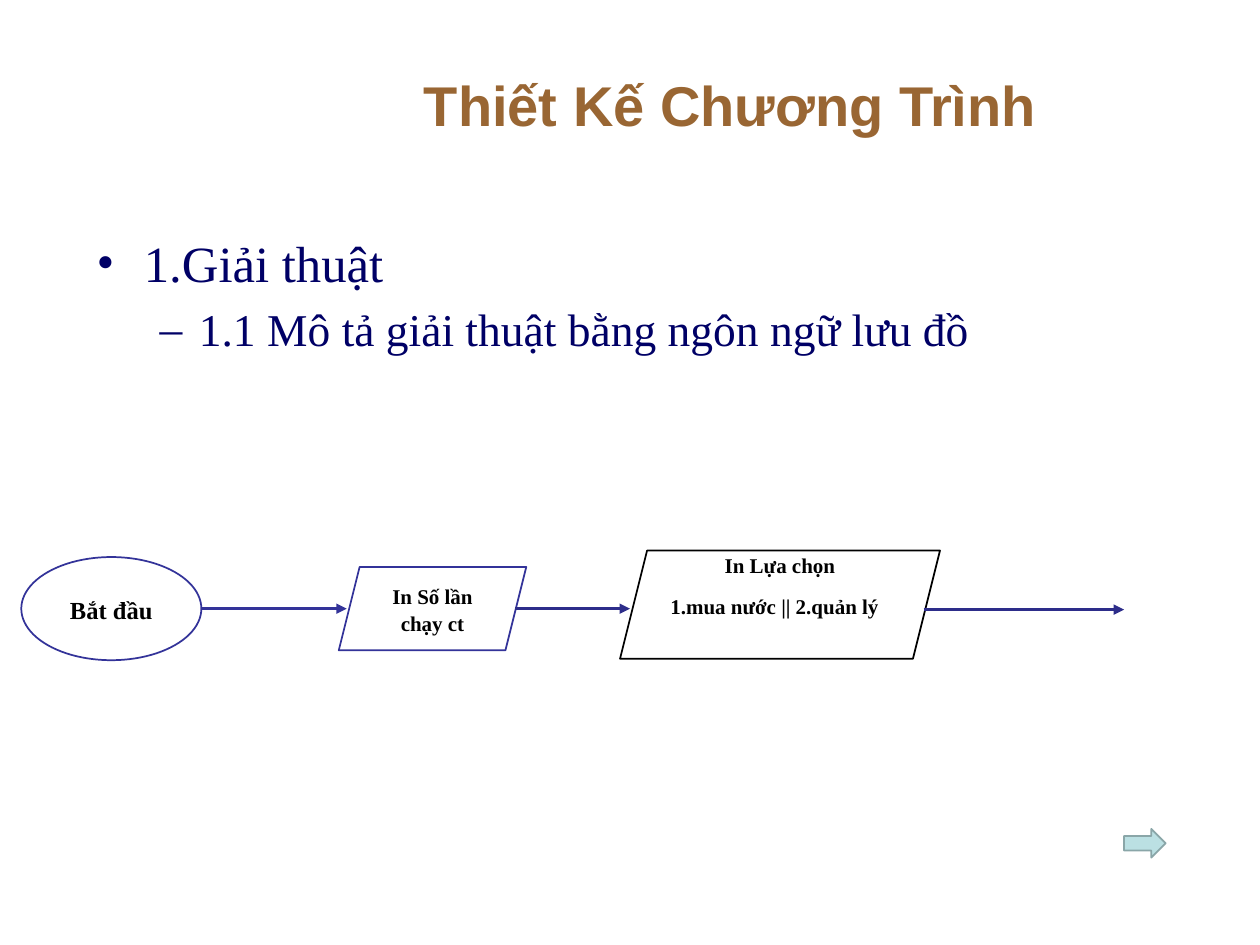
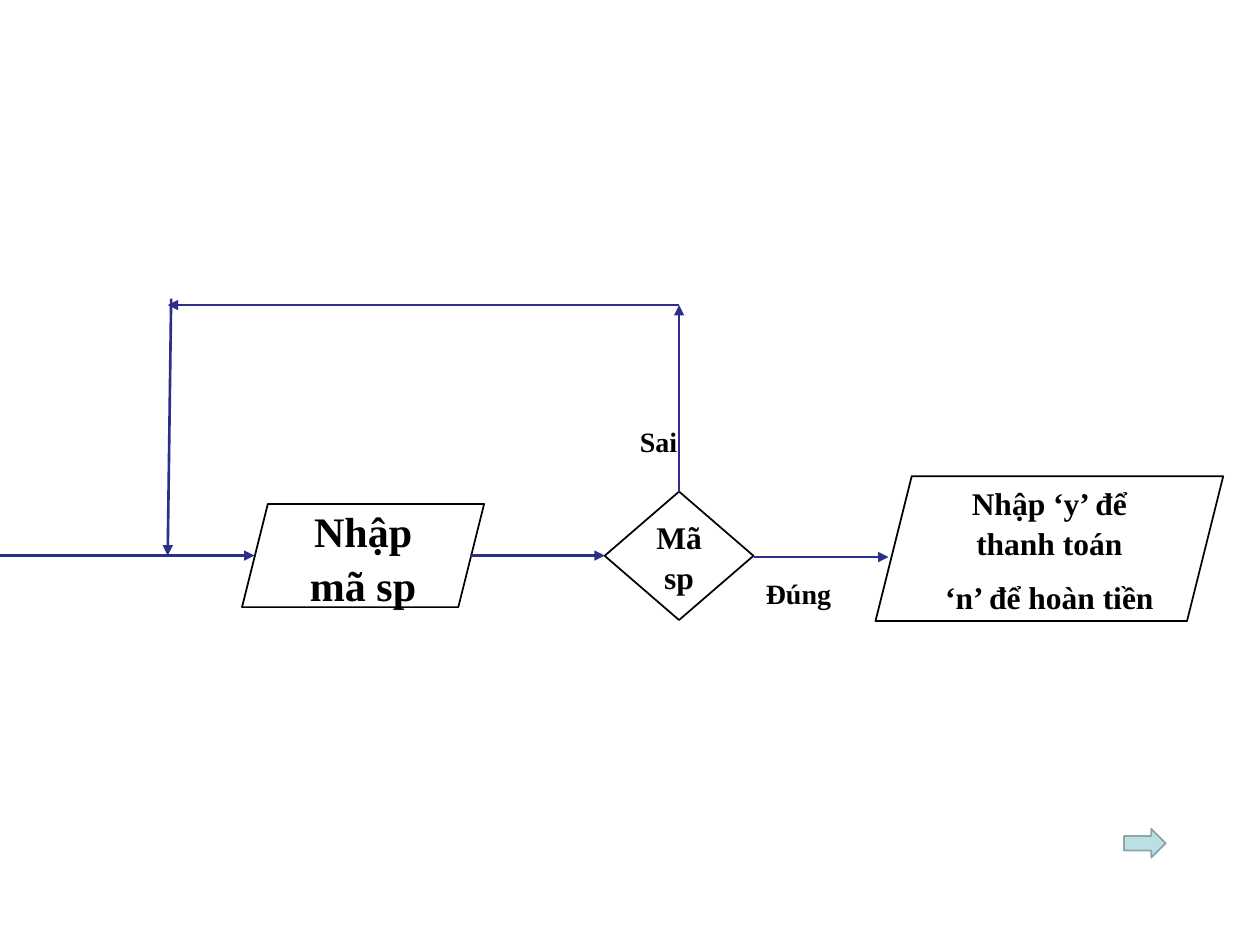
import pptx
import pptx.dml.color
import pptx.enum.shapes
import pptx.enum.text
import pptx.oxml.ns
import pptx.util
from lxml import etree

Cm = pptx.util.Cm
Pt = pptx.util.Pt
SHAPE = pptx.enum.shapes.MSO_SHAPE
ALIGN = pptx.enum.text.PP_ALIGN
ANCHOR = pptx.enum.text.MSO_ANCHOR

COLORS = {
    "title": "996633",
    "body": "000066",
    "text": "000000",
    "paper": "FFFFFF",
    "outline": "333399",
    "flow": "2D2D8A",
    "next_fill": "BBE0E3",
    "next_line": "8AA6A8",
}
TITLE_FONT = "Arial"
BODY_FONT = "Times New Roman"
TITLE_ONLY, BLANK = 5, 6


def rgb(name):
    return pptx.dml.color.RGBColor.from_string(COLORS[name])


def add_xml(parent, tag, **attributes):
    return etree.SubElement(parent, pptx.oxml.ns.qn(tag), attributes)


class FlowDeck:
    def __init__(self):
        self.presentation = pptx.Presentation()
        self.presentation.slide_width = Cm(25.4)
        self.presentation.slide_height = Cm(19.05)
        self.slide = None

    def start_slide(self, title=None):
        layout = self.presentation.slide_layouts[TITLE_ONLY if title else BLANK]
        self.slide = self.presentation.slides.add_slide(layout)
        self.shape(SHAPE.RIGHT_ARROW, (22.66, 16.71, 0.84, 0.58), "next_line", "next_fill")
        if title:
            self.title(title)

    def title(self, text):
        shape = self.slide.shapes.title
        shape.left, shape.top, shape.width, shape.height = map(Cm, (4.88, 0.79, 19.69, 2.62))
        shape.text_frame.text = text
        shape.text_frame.vertical_anchor = ANCHOR.MIDDLE
        paragraph = shape.text_frame.paragraphs[0]
        paragraph.alignment = ALIGN.CENTER
        self.format_runs(paragraph, 32, "title", True, TITLE_FONT)

    def format_runs(self, paragraph, size, color="text", bold=True, font=BODY_FONT):
        for run in paragraph.runs:
            run.font.name = font
            run.font.size = Pt(size)
            run.font.bold = bold
            run.font.color.rgb = rgb(color)

    def flow_text(self, frame, text, size, alignments):
        """Fill a frame, one paragraph per line and alignment."""
        frame.word_wrap = True
        frame.text = text
        for paragraph, alignment in zip(frame.paragraphs, alignments):
            paragraph.alignment = alignment
            paragraph.line_spacing = 1.07
            paragraph.space_after = Pt(8)
            self.format_runs(paragraph, size)

    def shape(self, kind, box, line="text", fill="paper"):
        shape = self.slide.shapes.add_shape(kind, *map(Cm, box))
        shape.shadow.inherit = False
        shape.fill.solid()
        shape.fill.fore_color.rgb = rgb(fill)
        shape.line.color.rgb = rgb(line)
        shape.line.width = Pt(1)
        return shape

    def step(self, kind, box, text, size, line="text", alignments=(ALIGN.CENTER,) * 2):
        """Add one flowchart symbol with its text."""
        frame = self.shape(kind, box, line).text_frame
        frame.vertical_anchor = ANCHOR.MIDDLE
        self.flow_text(frame, text, size, alignments)
        return frame

    def label(self, box, text):
        text_box = self.slide.shapes.add_textbox(*map(Cm, box))
        self.flow_text(text_box.text_frame, text, 16, [ALIGN.LEFT])

    def arrow(self, start, end, color="flow"):
        connector = self.slide.shapes.add_connector(
            pptx.enum.shapes.MSO_CONNECTOR.STRAIGHT, *map(Cm, start + end))
        connector.line.color.rgb = rgb(color)
        connector.line.width = Pt(1.5)
        add_xml(connector.line._get_or_add_ln(), "a:tailEnd", type="triangle")
        add_xml(connector._element.spPr, "a:effectLst")

    def outline(self, box, items):
        """Add a bulleted list of (text, size, bullet, margin, hanging)."""
        frame = self.slide.shapes.add_textbox(*map(Cm, box)).text_frame
        frame.word_wrap = True
        frame.text = "\n".join(item[0] for item in items)
        for level, (paragraph, item) in enumerate(zip(frame.paragraphs, items)):
            _, size, bullet, margin, hanging = item
            paragraph.level = level
            paragraph.space_before = Pt(round(size * 0.2))
            properties = paragraph._p.get_or_add_pPr()
            properties.set("marL", str(Cm(margin)))
            properties.set("indent", str(-Cm(hanging)))
            add_xml(properties, "a:buFont", typeface=BODY_FONT)
            add_xml(properties, "a:buChar", char=bullet)
            self.format_runs(paragraph, size, "body", False)


def build_start(deck):
    deck.start_slide("Thiết Kế Chương Trình")
    deck.outline((1.7, 4.55, 19.69, 2.62), [
        ("1.Giải thuật", 29, "•", 0.95, 0.95),
        ("1.1 Mô tả giải thuật bằng ngôn ngữ lưu đồ", 26, "–", 2.06, 0.79),
    ])
    deck.step(SHAPE.OVAL, (0.43, 11.23, 3.63, 2.08), "Bắt đầu", 14, "outline")
    deck.arrow((4.06, 12.27), (6.99, 12.27), "outline")
    deck.step(SHAPE.PARALLELOGRAM, (6.83, 11.43, 3.78, 1.68),
              "In Số lần chạy ct", 12, "outline")
    deck.arrow((10.39, 12.27), (12.7, 12.27))
    choice = deck.step(SHAPE.PARALLELOGRAM, (12.5, 11.1, 6.45, 2.18),
                       "In Lựa chọn\n1.mua nước || 2.quản lý", 12,
                       alignments=(ALIGN.CENTER, ALIGN.LEFT))
    choice.margin_bottom = Cm(0.94)
    deck.arrow((18.62, 12.29), (22.66, 12.29))


def build_product_check(deck):
    deck.start_slide()
    axis = 11.2
    loop_top = 6.15
    diamond_center = 13.69
    deck.step(SHAPE.PARALLELOGRAM, (4.88, 10.16, 4.88, 2.08), "Nhập mã sp", 24)
    deck.step(SHAPE.DIAMOND, (12.19, 9.91, 3, 2.59), "Mã sp", 18)
    deck.step(SHAPE.PARALLELOGRAM, (17.65, 9.6, 7.01, 2.92),
              "Nhập ‘y’ để thanh toán\n‘n’ để hoàn tiền", 18)
    for start, end in [
        ((0, axis), (5.13, axis)),
        ((9.47, axis), (12.19, axis)),
        ((diamond_center, 9.91), (diamond_center, loop_top)),
        ((diamond_center, loop_top), (3.38, loop_top)),
        ((3.45, 6.02), (3.38, axis)),
        ((15.19, 11.23), (17.91, 11.23)),
    ]:
        deck.arrow(start, end)
    deck.label((12.65, 8.38, 1.8, 0.86), "Sai")
    deck.label((15.19, 11.46, 2.16, 0.74), "Đúng")


def main():
    deck = FlowDeck()
    build_start(deck)
    build_product_check(deck)
    deck.presentation.save("out.pptx")


if __name__ == "__main__":
    main()
